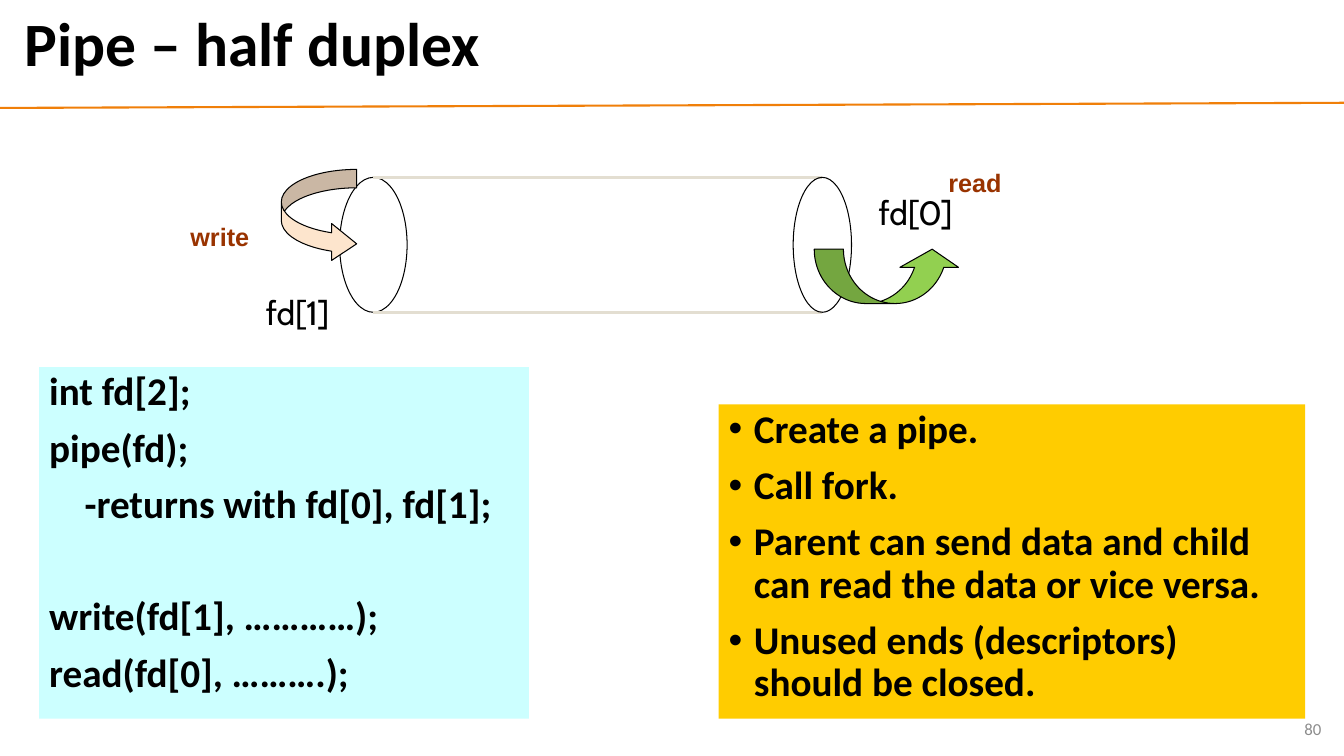
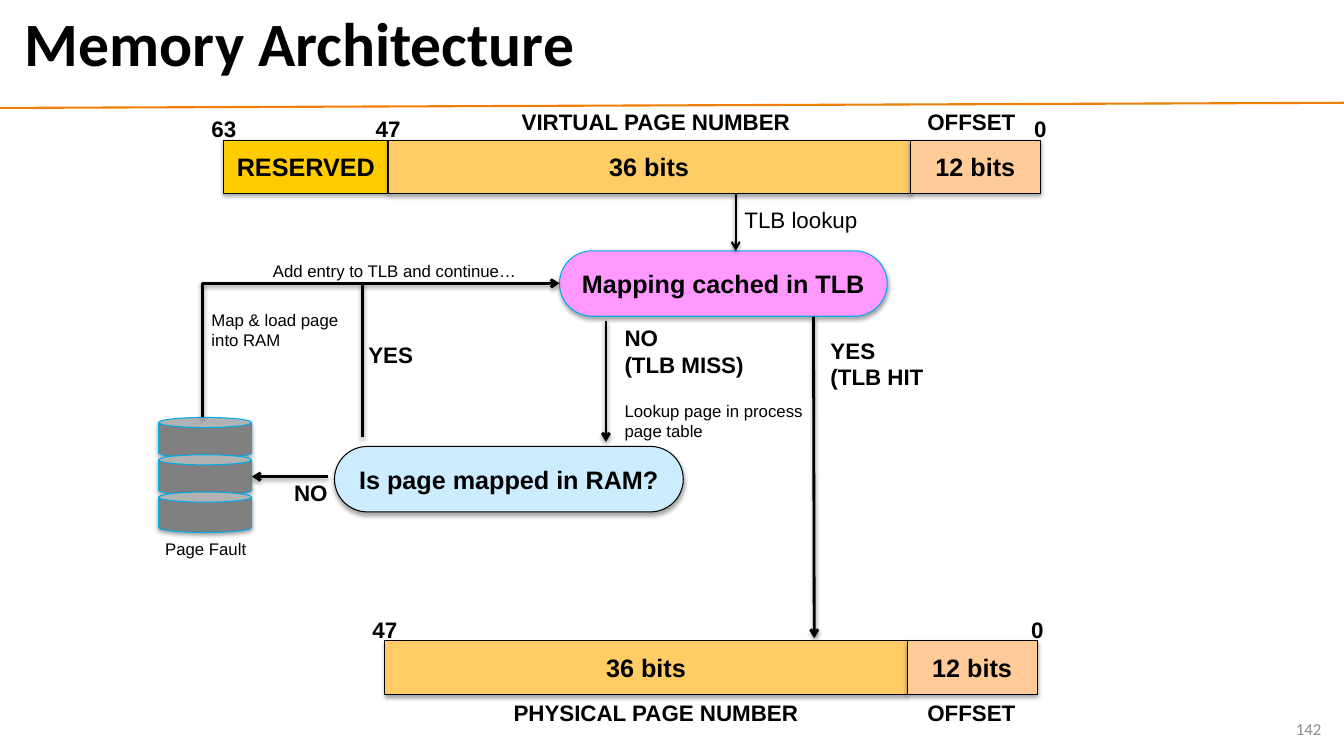
from lxml import etree
from pptx import Presentation
from pptx import util as u
from pptx.dml.color import RGBColor
from pptx.enum import shapes, text
from pptx.oxml import ns

Cm, Pt = u.Cm, u.Pt
SHAPE, ALIGN, ANCHOR = shapes.MSO_SHAPE, text.PP_ALIGN, text.MSO_ANCHOR

COLOURS = {
    "ink": "000000", "rule": "F07F09", "number": "8C8C8C", "action": "993300",
    "pipe": "E3DED1", "write": "FDE5CD", "read": "92D050",
    "code": "CCFFFF", "steps": "FFCC00",
    "reserved": "FFCC00", "page": "FFCC66", "offset": "FFCC99",
    "cache": "FF99FF", "memory": "CCECFF", "disk": "808080", "edge": "00ACEB",
}
TITLE = {"name": "Calibri", "size": Pt(44), "bold": True}
NUMBER = {"name": "Calibri", "size": Pt(12)}
PANEL = {"name": "Calibri", "size": Pt(28), "bold": True}
DESCRIPTOR = {"name": "Cabin", "size": Pt(24)}
NODE = {"name": "Arial", "size": Pt(18), "bold": True}
LABEL = {"name": "Arial", "size": Pt(16), "bold": True}
PLAIN = {**LABEL, "bold": False}
NOTE = {**PLAIN, "size": Pt(12)}
CENTRED = {"alignment": ALIGN.CENTER}

SLIDE_WIDTH, SLIDE_HEIGHT = 33.87, 19.05


def colour(name):
    return RGBColor.from_string(COLOURS[name])


def apply(target, values):
    for name, value in values.items():
        setattr(target, name, value)


def add_element(parent, tag, **attributes):
    return etree.SubElement(parent, ns.qn(tag), attributes)


def set_effects(shape, alpha=None, distance=0):
    """Give the shape a soft shadow straight below, or none without alpha."""
    effects = add_element(shape._element.spPr, "a:effectLst")
    if alpha:
        shadow = add_element(effects, "a:outerShdw", blurRad=str(Pt(3.1)),
                             dist=str(Pt(distance)), dir="5400000", rotWithShape="0")
        tint = add_element(shadow, "a:srgbClr", val=COLOURS["ink"])
        add_element(tint, "a:alpha", val=str(alpha * 1000))


def add_bullet(paragraph):
    properties = paragraph._p.get_or_add_pPr()
    properties.set("marL", str(Cm(0.64)))
    properties.set("indent", str(-Cm(0.64)))
    add_element(properties, "a:buFont", typeface="Arial")
    add_element(properties, "a:buChar", char="•")


def write(frame, lines, font, layout=None, ink="ink", bullets=False):
    """Fill a frame; a line is a string or (string, paragraph values, font values)."""
    frame.word_wrap = True
    for index, line in enumerate(lines):
        words, own_layout, own_font = (line, {}, {}) if isinstance(line, str) else line
        paragraph = frame.paragraphs[0] if index == 0 else frame.add_paragraph()
        paragraph.text = words
        if bullets:
            add_bullet(paragraph)
        values = {"alignment": ALIGN.LEFT, **(layout or {}), **own_layout}
        if index == 0:
            values.pop("space_before", None)
        apply(paragraph, values)
        apply(paragraph.font, {**font, **own_font})
        paragraph.font.color.rgb = colour(ink)


def add_text(slide, box, lines, font, layout=None, ink="ink", anchor=ANCHOR.TOP):
    frame = slide.shapes.add_textbox(*map(Cm, box)).text_frame
    write(frame, lines, font, layout, ink)
    frame.vertical_anchor = anchor


def add_shape(slide, kind, box, fill=None, edge=None, shadowed=False, adjustments=()):
    shape = slide.shapes.add_shape(kind, *map(Cm, box))
    for index, value in enumerate(adjustments):
        shape.adjustments[index] = value
    if fill:
        shape.fill.solid()
        shape.fill.fore_color.rgb = colour(fill)
    else:
        shape.fill.background()
    if edge:
        shape.line.color.rgb = colour(edge)
        shape.line.width = Pt(0.75)
    else:
        shape.line.fill.background()
    if shadowed:
        set_effects(shape, 35, 1.8)
    else:
        shape.shadow.inherit = False
    return shape


def add_node(slide, kind, box, words, fill, edge="ink", adjustments=()):
    shape = add_shape(slide, kind, box, fill, edge, True, adjustments)
    write(shape.text_frame, [words], NODE, CENTRED)
    shape.text_frame.vertical_anchor = ANCHOR.MIDDLE


def add_line(slide, start, end, ink="ink", width=2, arrow=False, shadowed=False):
    line = slide.shapes.add_connector(shapes.MSO_CONNECTOR.STRAIGHT,
                                      *map(Cm, (*start, *end)))
    line.line.color.rgb = colour(ink)
    line.line.width = Pt(width)
    if arrow:
        add_element(line.line._get_or_add_ln(), "a:tailEnd", type="arrow")
    set_effects(line, *((38, 1.6) if shadowed else ()))


def add_framed_slide(presentation, title, number):
    """Add a blank slide with the shared rule, title and page number."""
    slide = presentation.slides.add_slide(presentation.slide_layouts[6])
    add_line(slide, (0, 2.72), (SLIDE_WIDTH, 2.59), "rule", 1.5)
    add_text(slide, (0.38, 0.13, 32.74, 2.11), [title], TITLE,
             {"line_spacing": 0.9}, anchor=ANCHOR.MIDDLE)
    add_text(slide, (25.93, 17.86, 7.62, 1.02), [str(number)], NUMBER,
             {"alignment": ALIGN.RIGHT}, "number", ANCHOR.MIDDLE)
    return slide


def add_pipe(slide, left, top, width, height):
    """Draw the pipe in its box, with the arrows and labels around its mouths."""
    entry, outlet = 1.7, 1.47
    start, end = left + entry / 2, left + width - outlet / 2
    add_shape(slide, SHAPE.OVAL, (left, top, entry, height), edge="ink")
    for y in (top, top + height):
        add_line(slide, (start, y), (end, y), "pipe", 2.25)
    add_shape(slide, SHAPE.OVAL, (left + width - outlet, top, outlet, height), edge="ink")

    add_shape(slide, SHAPE.CURVED_RIGHT_ARROW, (left - 1.47, top - 0.2, 1.9, 2.34),
              "write", "ink", adjustments=(0.244, 0.489, 0.333))
    read_arrow = add_shape(slide, SHAPE.CURVED_LEFT_ARROW,
                           (left + 13.13, top + 0.64, 1.37, 3.71),
                           "read", "ink", adjustments=(0.538, 1.077, 0.333))
    read_arrow.rotation = 270
    read_arrow._element.spPr.xfrm.set("flipH", "1")

    for words, x, y in (("fd[1]", -2.11, 2.77), ("fd[0]", 13.33, 0.23)):
        add_text(slide, (left + x, top + y, 3.61, 1.27), [words], DESCRIPTOR)
    for words, x, y in (("write", -4.01, 0.99), ("read", 15.09, -0.38)):
        add_text(slide, (left + x, top + y, 2.4, 1.02), [words], NODE, ink="action")


def add_panel(slide, box, lines, fill, bullets=False):
    panel = add_shape(slide, SHAPE.RECTANGLE, box, fill)
    write(panel.text_frame, lines, PANEL,
          {"line_spacing": 0.9, "space_before": Pt(10)}, bullets=bullets)
    panel.text_frame.vertical_anchor = ANCHOR.TOP


def add_address(slide, left, top, fields, bits, captions, caption_top):
    """Draw an address as adjoining fields, with bit numbers above their edges."""
    height, edges = 1.35, [left]
    for words, width, fill in fields:
        add_node(slide, SHAPE.RECTANGLE, (edges[-1], top, width, height), words, fill)
        edges.append(edges[-1] + width)
    for bit, edge in zip(bits, edges):
        if bit:
            add_text(slide, (edge - 0.74, top - 0.75, 1.48, 0.94), [bit], LABEL, CENTRED)
    for words, centre in zip(captions, (16.53, 24.48)):
        add_text(slide, (centre - 5.23, caption_top, 10.46, 0.94), [words], LABEL, CENTRED)


def add_lookup_flow(slide, left, top):
    """Draw the page lookup between the two addresses."""
    for level in range(3):
        add_shape(slide, SHAPE.CAN, (left, top + 5.64 + level * 0.94, 2.34, 1.02),
                  "disk", "edge", True)
    for words, x, y, width, fill, edge in (
        ("Mapping cached in TLB", 10.1, 1.44, 8.26, "cache", "edge"),
        ("Is page mapped in RAM?", 4.43, 6.37, 8.79, "memory", "ink"),
    ):
        add_node(slide, SHAPE.ROUNDED_RECTANGLE, (left + x, top + y, width, 1.65),
                 words, fill, edge, (0.5,))

    for x1, y1, x2, y2, width, arrow in (
        (14.54, 0, 14.54, 1.44, 1.5, True),
        (1.08, 2.26, 10.1, 2.26, 2, True),
        (4.26, 7.13, 2.35, 7.13, 2, True),
        (5.14, 2.26, 5.14, 6.14, 2, False),
        (11.27, 3.2, 11.27, 6.25, 2, True),
        (16.5, 3.1, 16.52, 11.2, 2, True),
        (1.1, 2.26, 1.1, 5.64, 2, False),
    ):
        add_line(slide, (left + x1, top + y1), (left + x2, top + y2),
                 width=width, arrow=arrow, shadowed=True)

    lookup = ("Lookup page in process page table", {"space_before": Pt(16)}, NOTE)
    for lines, x, y, width, height, font, layout in (
        (["TLB lookup"], 14.19, 0.2, 3.99, 0.94, PLAIN, CENTRED),
        (["YES", "(TLB HIT"], 16.68, 3.48, 3.99, 1.63, LABEL, None),
        (["NO", "(TLB MISS)", lookup], 11.49, 3.17, 5.03, 3.33, LABEL, None),
        (["YES"], 4.79, 3.6, 2.11, 0.94, LABEL, CENTRED),
        (["NO"], 2.78, 7.06, 2.11, 0.94, LABEL, CENTRED),
        (["Map & load page into RAM"], 1.08, 2.79, 3.71, 1.27, NOTE, None),
        (["Page Fault"], -0.67, 8.56, 3.71, 0.76, NOTE, CENTRED),
        (["Add entry to TLB and continue…"], 2.35, 1.57, 7.19, 0.76, NOTE, CENTRED),
    ):
        add_text(slide, (left + x, top + y, width, height), lines, font, layout)


def build_pipe_slide(presentation):
    slide = add_framed_slide(presentation, "Pipe – half duplex", 80)
    add_pipe(slide, 8.56, 4.47, 12.9, 3.4)
    add_panel(slide, (0.99, 9.25, 12.34, 8.86), [
        "int fd[2];",
        "pipe(fd);",
        "    -returns with fd[0], fd[1];",
        ("write(fd[1], …………);", {"space_before": Pt(50)}, {}),
        "read(fd[0], ……….);",
    ], "code")
    add_panel(slide, (18.11, 10.19, 14.78, 7.92), [
        "Create a pipe.",
        "Call fork.",
        "Parent can send data and child can read the data or vice versa.",
        "Unused ends (descriptors) should be closed.",
    ], "steps", bullets=True)


def build_memory_slide(presentation):
    slide = add_framed_slide(presentation, "Memory Architecture", 142)
    shared = [("36 bits", 13.16, "page"), ("12 bits", 3.28, "offset")]
    add_lookup_flow(slide, 4, 4.88)
    add_address(slide, 5.64, 3.53, [("RESERVED", 4.14, "reserved"), *shared],
                ("63", "47", None, "0"), ("VIRTUAL PAGE NUMBER", "OFFSET"), 2.59)
    add_address(slide, 9.7, 16.15, shared,
                ("47", None, "0"), ("PHYSICAL PAGE NUMBER", "OFFSET"), 17.5)


def main():
    presentation = Presentation()
    apply(presentation, {"slide_width": Cm(SLIDE_WIDTH), "slide_height": Cm(SLIDE_HEIGHT)})
    build_pipe_slide(presentation)
    build_memory_slide(presentation)
    presentation.save("out.pptx")


if __name__ == "__main__":
    main()
